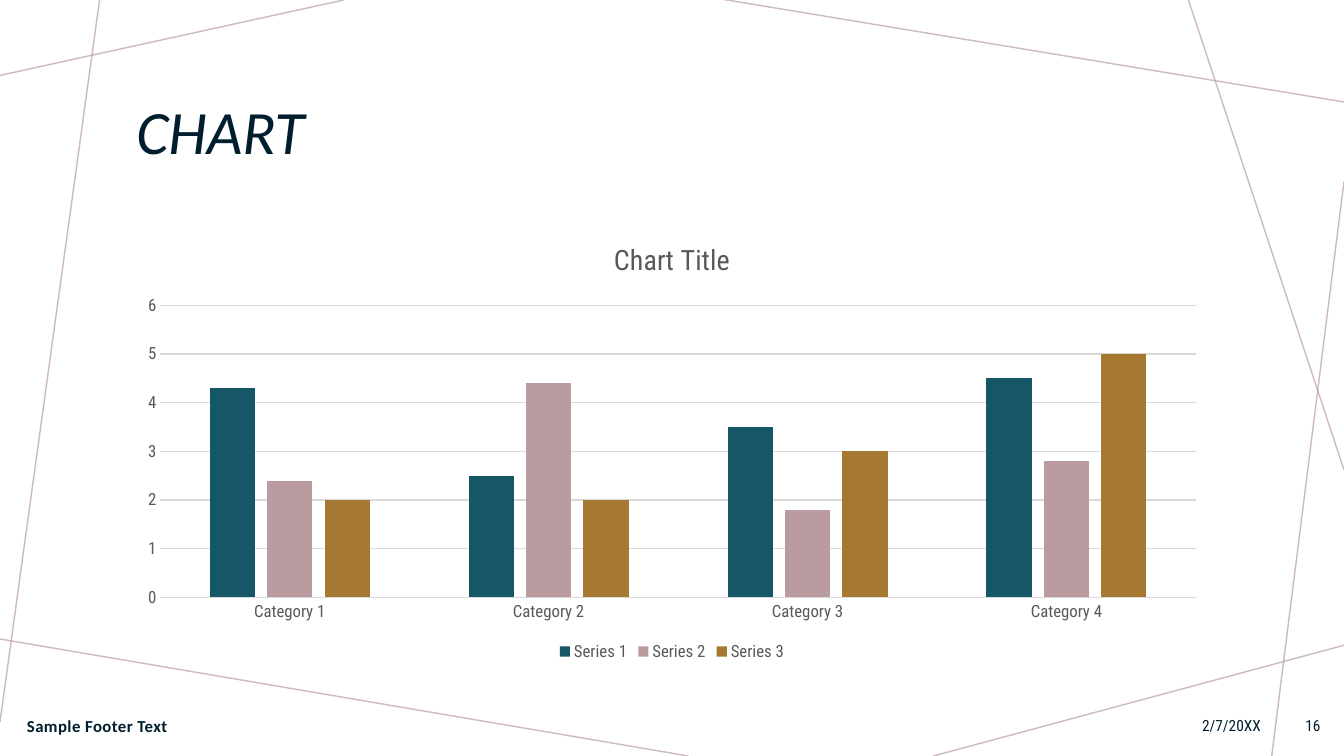
from typing import NamedTuple

from lxml import etree
from pptx import Presentation
from pptx.chart.data import CategoryChartData
from pptx.dml.color import RGBColor
from pptx.enum import chart as ch, text as tx
from pptx.oxml import ns
from pptx.util import Cm, Pt

NAVY = RGBColor(0x00, 0x1E, 0x2E)
TEAL = RGBColor(0x15, 0x57, 0x67)
ROSE = RGBColor(0xBA, 0x9C, 0xA0)
OCHRE = RGBColor(0xA5, 0x79, 0x31)
GRAY = RGBColor(0x59, 0x59, 0x59)
GRID = RGBColor(0xD9, 0xD9, 0xD9)
WHITE = RGBColor(0xFF, 0xFF, 0xFF)
HEAD_FONT, BODY_FONT = "Calibri", "Roboto Condensed"


class Ray(NamedTuple):
    """A thin background line, in centimetres."""
    x1: float
    y1: float
    x2: float
    y2: float


class Footer(NamedTuple):
    """A text on the bottom strip, in centimetres and points."""
    text: str
    left: float
    width: float
    size: float
    align: tx.PP_ALIGN
    font: str = BODY_FONT
    bold: bool = False
    spacing: float = 0


class Series(NamedTuple):
    name: str
    values: tuple
    color: RGBColor


RAYS = [
    Ray(8.66, 0, 0, 1.9),
    Ray(2.51, 0, 0, 18.19),
    Ray(17.35, 19.05, -0.13, 16.08),
    Ray(33.87, 16.26, 23.52, 19.05),
    Ray(33.87, 4.57, 32.05, 19.05),
    Ray(33.87, 11.84, 29.95, 0),
    Ray(33.87, 2.57, 18.14, -0.03),
]
FOOTERS = [
    Footer("Sample Footer Text", 0.43, 12.5, 12, tx.PP_ALIGN.LEFT, HEAD_FONT, True, 0.3),
    Footer("2/7/20XX", 20.37, 11.66, 11, tx.PP_ALIGN.RIGHT),
    Footer("16", 32.23, 1.3, 11, tx.PP_ALIGN.RIGHT),
]
CATEGORIES = [f"Category {i}" for i in range(1, 5)]
SERIES = [
    Series("Series 1", (4.3, 2.5, 3.5, 4.5), TEAL),
    Series("Series 2", (2.4, 4.4, 1.8, 2.8), ROSE),
    Series("Series 3", (2, 2, 3, 5), OCHRE),
]


def set_font(font, name: str, size: float, color: RGBColor, bold: bool = False) -> None:
    font.name, font.size, font.bold = name, Pt(size), bold
    font.color.rgb = color


def add_ray(s, ray: Ray) -> None:
    line = s.shapes.add_connector(1, Cm(ray.x1), Cm(ray.y1), Cm(ray.x2), Cm(ray.y2))
    line.line.width = Pt(1)
    line.line.color.rgb = ROSE
    sp_pr = line._element.spPr
    color = sp_pr.find(".//" + ns.qn("a:srgbClr"))
    etree.SubElement(color, ns.qn("a:alpha"), val="70000")
    etree.SubElement(sp_pr, ns.qn("a:effectLst"))


def add_title(s, text: str) -> None:
    sp = s.shapes.title
    sp.left, sp.top, sp.width, sp.height = Cm(3.18), Cm(1.47), Cm(27.51), Cm(3.84)
    tf = sp.text_frame
    tf.vertical_anchor = tx.MSO_ANCHOR.MIDDLE
    p = tf.paragraphs[0]
    p.alignment = tx.PP_ALIGN.LEFT
    p.line_spacing = 0.9
    r = p.add_run()
    r.text = text
    set_font(r.font, HEAD_FONT, 44, NAVY)
    r.font.italic = True


def add_footer(s, footer: Footer) -> None:
    sp = s.shapes.add_textbox(Cm(footer.left), Cm(17.78), Cm(footer.width), Cm(1.02))
    tf = sp.text_frame
    tf.word_wrap = True
    tf.vertical_anchor = tx.MSO_ANCHOR.MIDDLE
    p = tf.paragraphs[0]
    p.alignment = footer.align
    r = p.add_run()
    r.text = footer.text
    set_font(r.font, footer.font, footer.size, NAVY, footer.bold)
    if footer.spacing:
        r._r.get_or_add_rPr().set("spc", str(round(footer.spacing * 100)))


def add_column_chart(s) -> None:
    data = CategoryChartData()
    data.categories = CATEGORIES
    for series in SERIES:
        data.add_series(series.name, series.values)
    chart = s.shapes.add_chart(ch.XL_CHART_TYPE.COLUMN_CLUSTERED,
                               Cm(3.18), Cm(5.59), Cm(27.51), Cm(11.18), data).chart
    set_font(chart.font, BODY_FONT, 12, GRAY)

    # Chart title and legend
    chart.has_title = True
    r = chart.chart_title.text_frame.paragraphs[0].add_run()
    r.text = "Chart Title"
    set_font(r.font, BODY_FONT, 20, GRAY)
    chart.chart_title.include_in_layout = False
    chart.has_legend = True
    chart.legend.position = ch.XL_LEGEND_POSITION.BOTTOM
    chart.legend.include_in_layout = False
    set_font(chart.legend.font, BODY_FONT, 12, GRAY)

    # Columns
    plot = chart.plots[0]
    plot.gap_width, plot.overlap, plot.vary_by_categories = 219, -27, False
    for column, series in zip(plot.series, SERIES):
        column.format.fill.solid()
        column.format.fill.fore_color.rgb = series.color
        column.invert_if_negative = False

    # Axes
    for axis in (chart.category_axis, chart.value_axis):
        axis.major_tick_mark = axis.minor_tick_mark = ch.XL_TICK_MARK.NONE
        set_font(axis.tick_labels.font, BODY_FONT, 12, GRAY)
    values = chart.value_axis
    values.minimum_scale, values.maximum_scale, values.major_unit = 0, 6, 1
    values.has_major_gridlines = True
    values.format.line.fill.background()
    for line in (chart.category_axis.format.line, values.major_gridlines.format.line):
        line.width = Pt(0.75)
        line.color.rgb = GRID


def main() -> None:
    prs = Presentation()
    prs.slide_width, prs.slide_height = Cm(33.87), Cm(19.05)
    s = prs.slides.add_slide(prs.slide_layouts[5])
    s.background.fill.solid()
    s.background.fill.fore_color.rgb = WHITE

    # Background lines
    for ray in RAYS:
        add_ray(s, ray)

    # Content
    add_title(s, "CHART")
    add_column_chart(s)

    # Bottom strip
    for footer in FOOTERS:
        add_footer(s, footer)

    prs.save("out.pptx")


if __name__ == "__main__":
    main()
